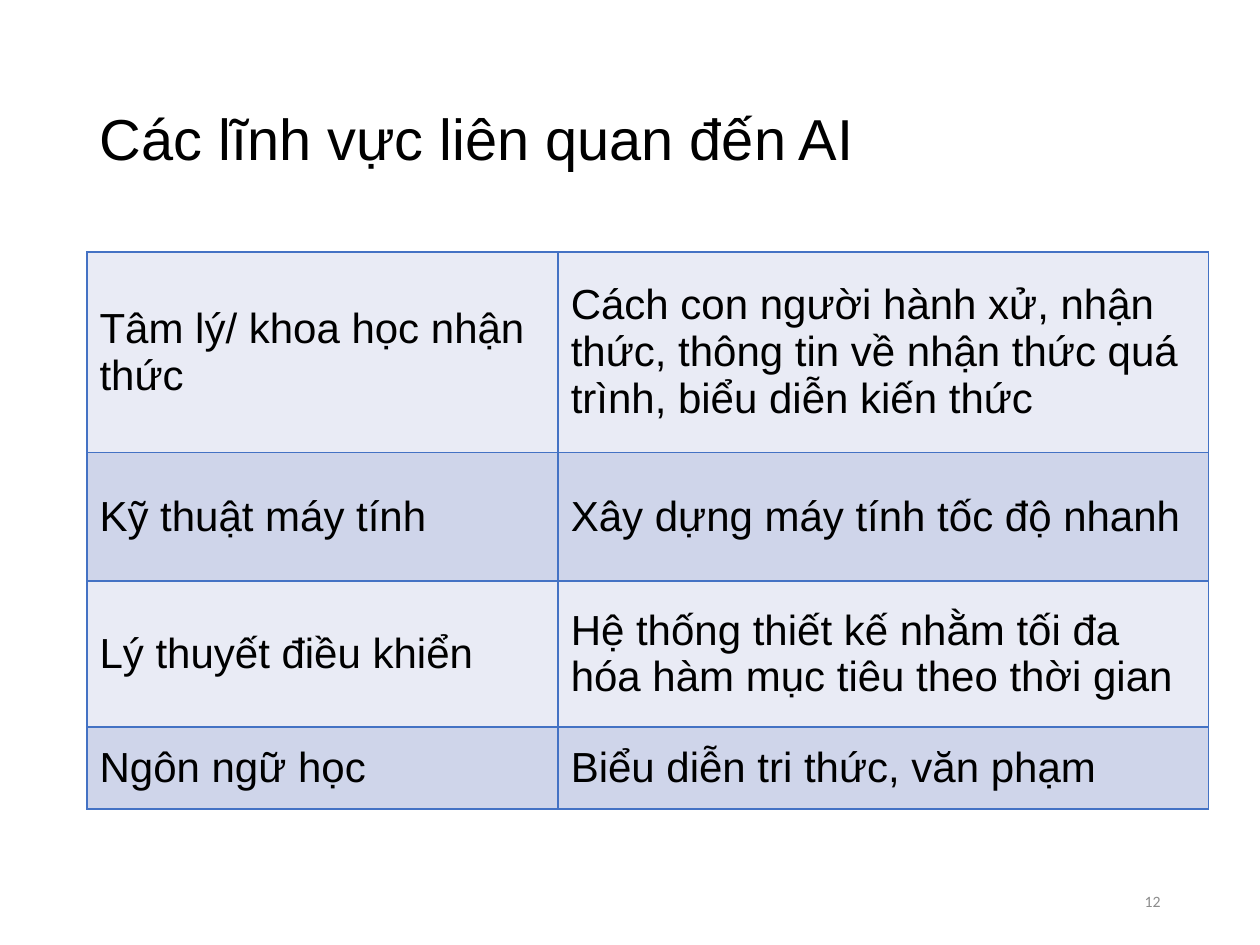
from lxml import etree
from pptx import Presentation
from pptx.dml.color import RGBColor
from pptx.enum.text import MSO_ANCHOR, PP_ALIGN
from pptx.oxml.ns import qn
from pptx.util import Inches, Pt

MIDDLE = MSO_ANCHOR.MIDDLE
LEFT, RIGHT = PP_ALIGN.LEFT, PP_ALIGN.RIGHT
BLACK = RGBColor(0x00, 0x00, 0x00)
GREY = RGBColor(0x8C, 0x8C, 0x8C)
BORDER = RGBColor(0x44, 0x72, 0xC4)
BANDS = [RGBColor(0xE9, 0xEB, 0xF5), RGBColor(0xCF, 0xD5, 0xEA)]

FIELDS = [
    ("Tâm lý/ khoa học nhận thức",
     "Cách con người hành xử, nhận thức, thông tin về nhận thức quá trình, "
     "biểu diễn kiến thức"),
    ("Kỹ thuật máy tính", "Xây dựng máy tính tốc độ nhanh"),
    ("Lý thuyết điều khiển",
     "Hệ thống thiết kế nhằm tối đa hóa hàm mục tiêu theo thời gian"),
    ("Ngôn ngữ học", "Biểu diễn tri thức, văn phạm"),
]
COLUMN_WIDTHS = [3.74, 5.16]
ROW_HEIGHTS = [1.59, 1.02, 1.16, 0.65]


def write(frame, text, size, font="Arial", color=BLACK, align=LEFT):
    frame.text = text
    frame.word_wrap = True
    paragraph = frame.paragraphs[0]
    paragraph.alignment = align
    run_font = paragraph.runs[0].font
    run_font.size = Pt(size)
    run_font.name = font
    run_font.color.rgb = color


def add_borders(cell):
    """Outline all four sides; the lines must come before the cell's fill."""
    properties = cell._tc.get_or_add_tcPr()
    for position, side in enumerate(("a:lnL", "a:lnR", "a:lnT", "a:lnB")):
        line = etree.Element(qn(side), w=str(Pt(1)))
        fill = etree.SubElement(line, qn("a:solidFill"))
        etree.SubElement(fill, qn("a:srgbClr"), val=str(BORDER))
        properties.insert(position, line)


prs = Presentation()
prs.slide_width, prs.slide_height = Inches(10), Inches(7.5)
slide = prs.slides.add_slide(prs.slide_layouts[5])

title = slide.shapes.title
title.left, title.top = Inches(0.69), Inches(0.4)
title.width, title.height = Inches(8.62), Inches(1.45)
write(title.text_frame, "Các lĩnh vực liên quan đến AI", 33)
title.text_frame.vertical_anchor = MIDDLE
title.text_frame.paragraphs[0].line_spacing = 0.9

table = slide.shapes.add_table(
    len(FIELDS), len(COLUMN_WIDTHS), Inches(0.69), Inches(2),
    Inches(sum(COLUMN_WIDTHS)), Inches(sum(ROW_HEIGHTS))).table
table.first_row = False
for column, width in zip(table.columns, COLUMN_WIDTHS):
    column.width = Inches(width)
for row_index, (row, height) in enumerate(zip(table.rows, ROW_HEIGHTS)):
    row.height = Inches(height)
    for cell, text in zip(row.cells, FIELDS[row_index]):
        write(cell.text_frame, text, 24)
        cell.vertical_anchor = MIDDLE
        cell.fill.solid()
        cell.fill.fore_color.rgb = BANDS[row_index % 2]
        add_borders(cell)

page_number = slide.shapes.add_textbox(
    Inches(7.06), Inches(6.95), Inches(2.25), Inches(0.4)).text_frame
write(page_number, "12", 9, "Calibri", GREY, RIGHT)
page_number.vertical_anchor = MIDDLE

prs.save("out.pptx")
